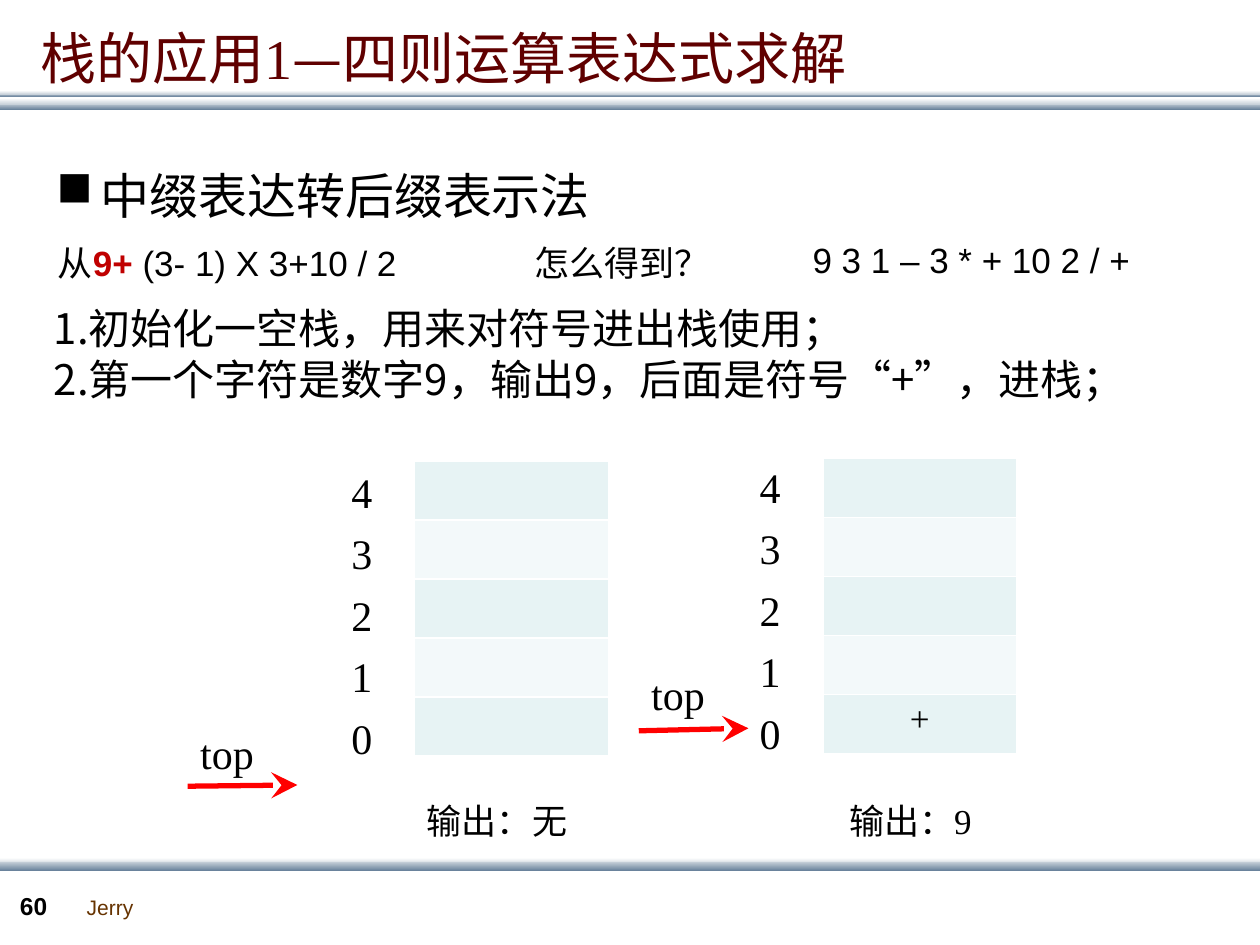
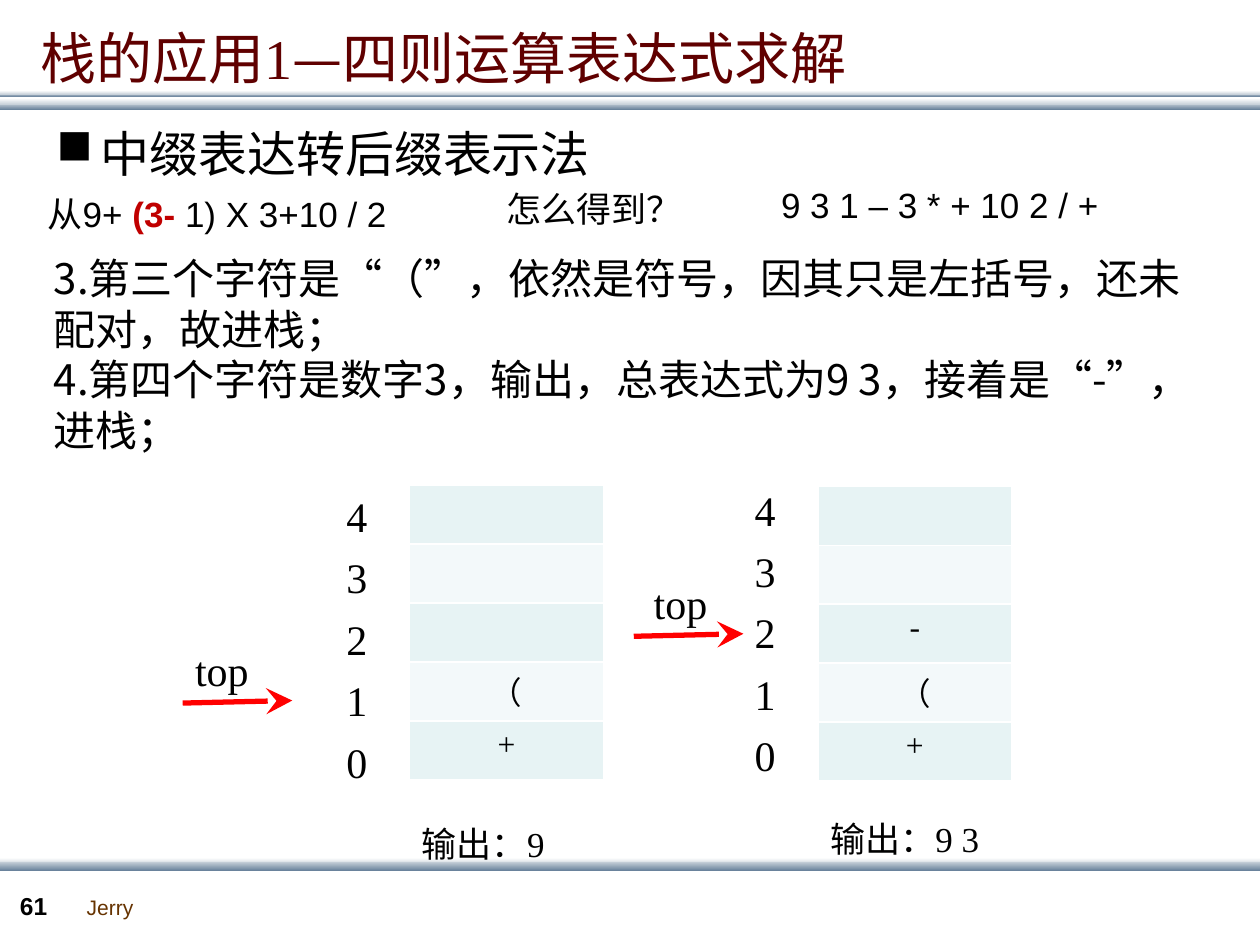
from lxml import etree
from pptx import Presentation
from pptx.dml.color import RGBColor
from pptx.enum import shapes, text
from pptx.oxml import parse_xml
from pptx.oxml.ns import nsdecls, qn
from pptx.util import Inches, Pt

COLORS = {
    "ink": "000000", "title": "600000", "accent": "C00000", "author": "663300",
    "arrow": "FF0000", "white": "FFFFFF", "mist": "C8D1DA", "steel": "6A839C",
    "row_dark": "E7F3F4", "row_light": "F3F9FA",
}
CJK, SANS, SERIF = "Noto Sans CJK SC", "Arial", "Times New Roman"
BANDS = [  # top, height, upper colour, lower colour
    (0.82, 0.05, "mist", "steel"), (0.74, 0.03, "mist", "steel"),
    (0.78, 0.05, "white", "mist"), (0.72, 0.03, "white", "mist"),
    (6.81, 0.05, "white", "mist"), (6.84, 0.07, "mist", "steel"),
]
TITLE = [("栈的应用", {}), ("1", {"name": SERIF}), ("—四则运算表达式求解", {})]
HEADING = "中缀表达转后缀表示法"
POSTFIX = "9 3 1 – 3 * + 10 2 / +"
LEVELS, ROW_H, LABEL_STEP, STACK_W = 5, 0.468, 0.4875, 1.54


def rgb(key):
    return RGBColor.from_string(COLORS[key])


def add_run(p, content, size, name=SERIF, color="ink", bold=False):
    r = p.add_run()
    r.text = content
    for key, value in {"size": Pt(size), "name": name, "bold": bold}.items():
        setattr(r.font, key, value)
    r.font.color.rgb = rgb(color)
    etree.SubElement(r.font._element, qn("a:ea"), typeface=CJK)


def add_text(slide, box, paragraphs, size, leading=None, wrap=True, anchor="TOP", **style):
    """Add a text box; each paragraph is a string or a list of (text, style) runs."""
    tf = slide.shapes.add_textbox(*map(Inches, box)).text_frame
    tf.word_wrap = wrap
    tf.vertical_anchor = getattr(text.MSO_ANCHOR, anchor)
    for i, runs in enumerate(paragraphs):
        p = tf.add_paragraph() if i else tf.paragraphs[0]
        if leading:
            p.line_spacing = Pt(round(size * leading))
        for content, own in [(runs, {})] if isinstance(runs, str) else runs:
            add_run(p, content, size, **{**style, **own})
    return tf


def add_frame(slide, number):
    """Draw the bands, title, author and page number every slide carries."""
    for top, height, upper, lower in BANDS:
        sp = slide.shapes.add_shape(shapes.MSO_SHAPE.RECTANGLE, 0, Inches(top),
                                    Inches(10), Inches(height))
        sp.shadow.inherit = False
        sp.line.fill.background()
        sp.fill.gradient()
        sp.fill.gradient_angle = 270
        for stop, color, position in zip(sp.fill.gradient_stops, (upper, lower), (0, 1)):
            stop.color.rgb = rgb(color)
            stop.position = position
    add_text(slide, (0.59, 7.05, 0.57, 0.3), ["Jerry"], 12, wrap=False,
             name=SANS, color="author")
    add_text(slide, (0.06, 7.02, 0.55, 0.33), [str(number)], 14, name=SANS, bold=True)
    add_text(slide, (0.22, 0.18, 9.6, 0.55), [TITLE], 32, anchor="MIDDLE",
             name=CJK, color="title")


def add_heading(slide, top):
    tf = add_text(slide, (0.22, top, 9, 0.62), [HEADING], 28, 1.3, name=CJK)
    pPr = tf.paragraphs[0]._p.get_or_add_pPr()
    pPr.set("marL", str(Inches(0.48)))
    pPr.set("indent", str(Inches(-0.35)))
    etree.SubElement(pPr, qn("a:buChar"), char="■")


def add_expressions(slide, infix, infix_at, question_at, postfix_at):
    add_text(slide, (*infix_at, 3.21, 0.44), [[("从", {"name": CJK}), *infix]], 20, 1.3,
             name=SANS)
    add_text(slide, (*question_at, 1.6, 0.44), ["怎么得到？"], 20, 1.3, wrap=False, name=CJK)
    add_text(slide, (*postfix_at, 2.99, 0.44), [POSTFIX], 20, 1.2, name=SANS)


def fill_cell(cell, row, content, size):
    cell.fill.solid()
    cell.fill.fore_color.rgb = rgb("row_light" if row % 2 else "row_dark")
    tcPr = cell._tc.get_or_add_tcPr()
    for i, side in enumerate(("lnL", "lnR", "lnT", "lnB")):
        tcPr.insert(i, parse_xml(
            f'<a:{side} {nsdecls("a")} w="{Pt(1)}"><a:solidFill>'
            f'<a:srgbClr val="{COLORS["white"]}"/></a:solidFill></a:{side}>'))
    if content:
        p = cell.text_frame.paragraphs[0]
        p.alignment = text.PP_ALIGN.CENTER
        add_run(p, content, size)


def add_pointer(slide, label_at, start, rise):
    """Draw the word top and the arrow that marks the top of a stack."""
    add_text(slide, (*label_at, 0.8, 0.51), ["top"], 24, 1.2)
    x, y = start
    line = slide.shapes.add_connector(shapes.MSO_CONNECTOR.STRAIGHT, *map(
        Inches, (x, y, x + 0.87, y - rise)))
    line.line.color.rgb = rgb("arrow")
    line.line.width = Pt(3)
    etree.SubElement(line.line._get_or_add_ln(), qn("a:tailEnd"),
                     type="stealth", w="lg", len="lg")
    etree.SubElement(line._element.spPr, qn("a:effectLst"))


def add_stack(slide, at, label_top, items, output, output_at, pointer, size=18):
    """Draw one stack; items run from the bottom up."""
    x, y = at
    table = slide.shapes.add_table(LEVELS, 1, *map(
        Inches, (x, y, STACK_W, LEVELS * ROW_H))).table
    table.first_row = table.horz_banding = False
    for row in range(LEVELS):
        level = LEVELS - 1 - row
        table.rows[row].height = Inches(ROW_H)
        fill_cell(table.cell(row, 0), row, items[level] if level < len(items) else "", size)
        add_text(slide, (x - 0.6, label_top + row * LABEL_STEP, 0.46, 0.51),
                 [str(level)], 24, 1.2)
    add_text(slide, (*output_at, 1.8, 0.44), [f"输出：{output}"], 20, 1.3)
    add_pointer(slide, *pointer)


def add_step_slide(prs, number, heading_top, expressions, steps_box, steps, stacks):
    slide = prs.slides.add_slide(prs.slide_layouts[6])
    add_frame(slide, number)
    add_heading(slide, heading_top)
    add_expressions(slide, **expressions)
    add_text(slide, steps_box, steps, 24, 1.2, name=CJK)
    for stack in stacks:
        add_stack(slide, **stack)


def main():
    prs = Presentation()
    prs.slide_width, prs.slide_height = Inches(10), Inches(7.5)
    current = {"color": "accent", "bold": True}
    add_step_slide(
        prs, 60, 1.23,
        dict(infix=[("9+ ", current), ("(3- 1) X 3+10 / 2", {})],
             infix_at=(0.36, 1.84), question_at=(4.14, 1.84), postfix_at=(6.35, 1.84)),
        (0.33, 2.35, 9.21, 0.91),
        ["1.初始化一空栈，用来对符号进出栈使用；",
         "2.第一个字符是数字9，输出9，后面是符号“+”，进栈；"],
        [dict(at=(3.29, 3.66), label_top=3.65, items=[], output="无",
              output_at=(3.29, 6.27), pointer=((1.49, 5.72), (1.49, 6.24), 0.01)),
         dict(at=(6.53, 3.64), label_top=3.61, items=["+"], output="9", size=20,
              output_at=(6.64, 6.27), pointer=((5.07, 5.25), (5.07, 5.8), 0.02))])
    add_step_slide(
        prs, 61, 0.9,
        dict(infix=[("9+ ", {}), ("(3-", current), (" 1) X 3+10 / 2", {})],
             infix_at=(0.28, 1.45), question_at=(3.92, 1.41), postfix_at=(6.1, 1.41)),
        (0.33, 1.95, 9.21, 1.72),
        ["3.第三个字符是“（”，依然是符号，因其只是左括号，还未配对，故进栈；",
         "4.第四个字符是数字3，输出，总表达式为9 3，接着是“-”，进栈；"],
        [dict(at=(3.25, 3.85), label_top=3.84, items=["+", "（"], output="9",
              output_at=(3.25, 6.45), pointer=((1.45, 5.06), (1.45, 5.58), 0.02)),
         dict(at=(6.49, 3.86), label_top=3.79, items=["+", "（", "-"], output="9 3",
              output_at=(6.49, 6.41), pointer=((5.09, 4.53), (5.03, 5.05), 0.02))])
    prs.save("out.pptx")


if __name__ == "__main__":
    main()
